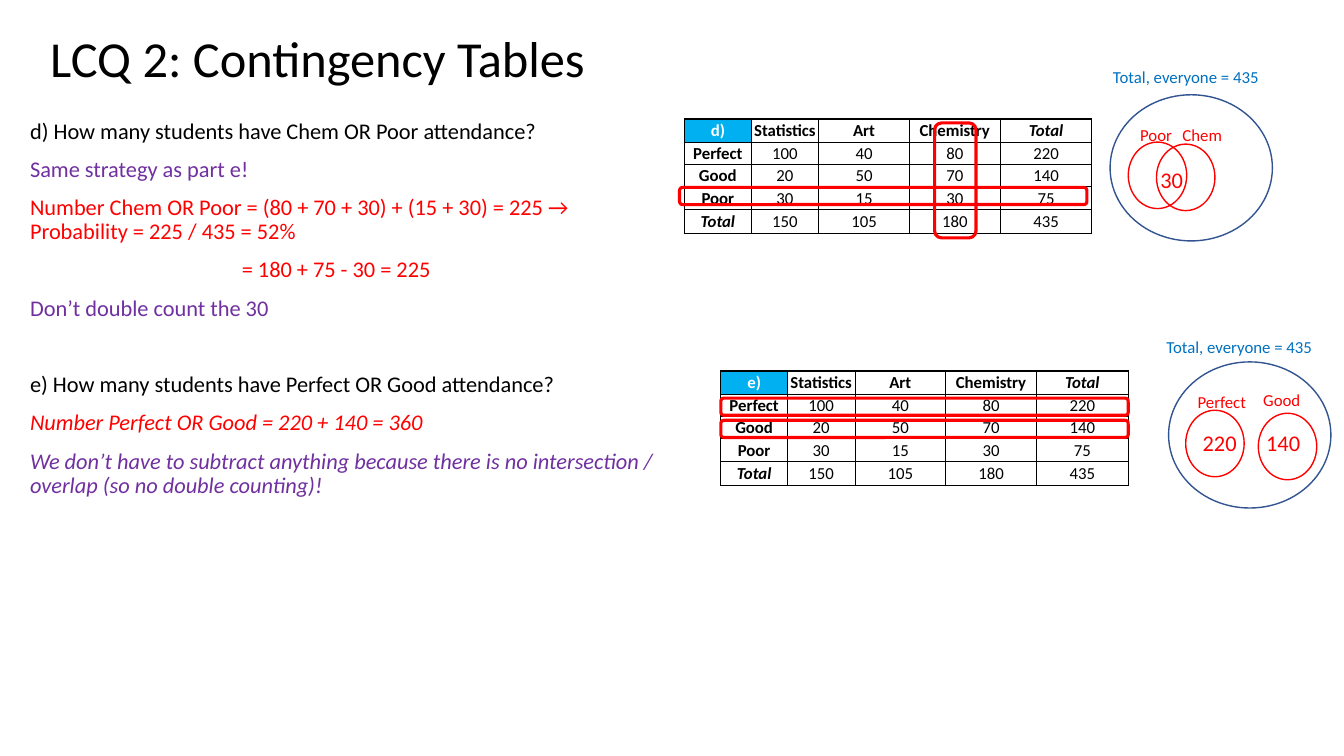
from typing import Any, NamedTuple

from lxml import etree
from pptx import Presentation
from pptx.dml.color import RGBColor
from pptx.enum.shapes import MSO_SHAPE
from pptx.enum.text import MSO_ANCHOR, MSO_AUTO_SIZE, PP_ALIGN
from pptx.oxml.ns import qn
from pptx.util import Pt

OVAL = MSO_SHAPE.OVAL
ROUND = MSO_SHAPE.ROUNDED_RECTANGLE
MIDDLE = MSO_ANCHOR.MIDDLE
CENTER = PP_ALIGN.CENTER
GROW = MSO_AUTO_SIZE.SHAPE_TO_FIT_TEXT

BLACK = RGBColor(0x00, 0x00, 0x00)
WHITE = RGBColor(0xFF, 0xFF, 0xFF)
RED = RGBColor(0xFF, 0x00, 0x00)
PURPLE = RGBColor(0x70, 0x30, 0xA0)
NAVY = RGBColor(0x32, 0x54, 0x91)
BLUE = RGBColor(0x00, 0x70, 0xC0)
CYAN = RGBColor(0x00, 0xB0, 0xF0)

FONT = "Calibri"
SCALE = 9144


class Box(NamedTuple):
    x: int
    y: int
    w: int
    h: int


class Line(NamedTuple):
    text: str
    color: RGBColor
    slant: bool = False
    gap: float = 10
    indent: int = 0


class Ring(NamedTuple):
    box: Box
    color: RGBColor = RED


class Label(NamedTuple):
    text: str
    box: Box
    size: int = 12
    color: RGBColor = RED


TITLE = Line("LCQ 2: Contingency Tables", BLACK, gap=0)
BODY = [
    Line("d) How many students have Chem OR Poor attendance?", BLACK, gap=0),
    Line("Same strategy as part e!", PURPLE),
    Line("Number Chem OR Poor = (80 + 70 + 30) + (15 + 30) = 225 → Probability = 225 / 435 = 52%", RED),
    Line("= 180 + 75 - 30 = 225", RED, indent=210),
    Line("Don’t double count the 30", PURPLE),
    Line("e) How many students have Perfect OR Good attendance?", BLACK, gap=37.5),
    Line("Number Perfect OR Good = 220 + 140 = 360", RED, True),
    Line("We don’t have to subtract anything because there is no intersection / overlap (so no double counting)!",
         PURPLE, True),
]

HEADS = ["Statistics", "Art", "Chemistry", "Total"]
ROWS = [
    ["Perfect", "100", "40", "80", "220"],
    ["Good", "20", "50", "70", "140"],
    ["Poor", "30", "15", "30", "75"],
    ["Total", "150", "105", "180", "435"],
]
WIDTHS = [66, 67, 90, 90, 91]
HEIGHTS = [23, 22, 22, 23, 24]
HEAVY = {0, 4, 5}
GRIDS = [("e)", 715, 368), ("d)", 679, 118)]

MARKS = [
    Box(927, 122, 41, 114),
    Box(674, 186, 404, 17),
    Box(715, 395, 404, 17),
    Box(715, 417, 404, 17),
]

VENNS = [
    [
        Ring(Box(1101, 94, 161, 145), NAVY),
        Ring(Box(1119, 141, 58, 66)),
        Label("Poor", Box(1121, 119, 52, 30)),
        Ring(Box(1147, 143, 58, 66)),
        Label("Chem", Box(1163, 119, 60, 30)),
        Label("30", Box(1141, 160, 43, 37), 16),
        Label("Total, everyone = 435", Box(1094, 61, 167, 30), 12, BLUE),
    ],
    [
        Ring(Box(1159, 359, 161, 145), NAVY),
        Ring(Box(1176, 407, 58, 66)),
        Label("Perfect", Box(1178, 384, 69, 30)),
        Ring(Box(1248, 410, 58, 66)),
        Label("Good", Box(1243, 382, 58, 30)),
        Label("220", Box(1183, 421, 54, 37), 16),
        Label("140", Box(1246, 421, 54, 37), 16),
        Label("Total, everyone = 435", Box(1147, 329, 167, 30), 12, BLUE),
    ],
]


def emu(box: Box) -> list[int]:
    return [side * SCALE for side in box]


def style(para: Any, size: int, color: RGBColor, bold: bool = False, slant: bool = False) -> None:
    for run in para.runs:
        run.font.name = FONT
        run.font.size = Pt(size)
        run.font.color.rgb = color
        run.font.bold = bold
        run.font.italic = slant


def add_lines(shapes: Any, box: Box, lines: list[Line], size: int) -> Any:
    frame = shapes.add_textbox(*emu(box)).text_frame
    frame.word_wrap = True
    for i, line in enumerate(lines):
        para = frame.add_paragraph() if i else frame.paragraphs[0]
        para.text = line.text
        para.line_spacing = 0.9
        para.space_before = Pt(line.gap)
        if line.indent:
            para._p.get_or_add_pPr().set("marL", str(line.indent * SCALE))
        style(para, size, line.color, slant=line.slant)
    return frame


def add_label(shapes: Any, label: Label) -> None:
    frame = shapes.add_textbox(*emu(label.box)).text_frame
    frame.text = label.text
    frame.word_wrap = False
    frame.auto_size = GROW
    style(frame.paragraphs[0], label.size, label.color)


def add_frame(shapes: Any, kind: Any, box: Box, color: RGBColor, width: float) -> None:
    shape = shapes.add_shape(kind, *emu(box))
    shape.shadow.inherit = False
    shape.fill.background()
    shape.line.color.rgb = color
    shape.line.width = Pt(width)


def add_edge(cell: Any, tag: str, heavy: bool) -> None:
    edge = etree.SubElement(cell._tc.get_or_add_tcPr(), qn(tag), w=str(Pt(1 if heavy else 0.5)))
    fill = etree.SubElement(edge, qn("a:solidFill"))
    etree.SubElement(fill, qn("a:srgbClr"), val=str(BLACK))


def add_grid(shapes: Any, name: str, x: int, y: int) -> None:
    box = Box(x, y, sum(WIDTHS), sum(HEIGHTS))
    table = shapes.add_table(len(HEIGHTS), len(WIDTHS), *emu(box)).table
    table.first_row = False
    table.horz_banding = False
    for col, width in zip(table.columns, WIDTHS):
        col.width = width * SCALE
    for row, height in zip(table.rows, HEIGHTS):
        row.height = height * SCALE
    for r, row in enumerate([[name, *HEADS], *ROWS]):
        for c, text in enumerate(row):
            cell = table.cell(r, c)
            cell.text = text
            cell.vertical_anchor = MIDDLE
            cell.margin_left = cell.margin_right = cell.margin_top = SCALE
            cell.margin_bottom = 0
            para = cell.text_frame.paragraphs[0]
            para.alignment = CENTER
            corner = r == c == 0
            style(para, 12, WHITE if corner else BLACK, r == 0 or c == 0, text == "Total")
            for tag, edge in (("a:lnL", c), ("a:lnR", c + 1), ("a:lnT", r), ("a:lnB", r + 1)):
                add_edge(cell, tag, edge in HEAVY)
            if corner:
                cell.fill.solid()
                cell.fill.fore_color.rgb = CYAN
            else:
                cell.fill.background()


def main() -> None:
    deck = Presentation()
    deck.slide_width, deck.slide_height = 1333 * SCALE, 750 * SCALE
    shapes = deck.slides.add_slide(deck.slide_layouts[6]).shapes
    add_lines(shapes, Box(40, -12, 1150, 145), [TITLE], 36).vertical_anchor = MIDDLE
    add_lines(shapes, Box(20, 114, 654, 636), BODY, 16)
    for name, x, y in GRIDS:
        add_grid(shapes, name, x, y)
    for mark in MARKS:
        add_frame(shapes, ROUND, mark, RED, 2.25)
    for venn in VENNS:
        group = shapes.add_group_shape().shapes
        for part in venn:
            if isinstance(part, Ring):
                add_frame(group, OVAL, part.box, part.color, 1)
            else:
                add_label(group, part)
    deck.save("out.pptx")


if __name__ == "__main__":
    main()
